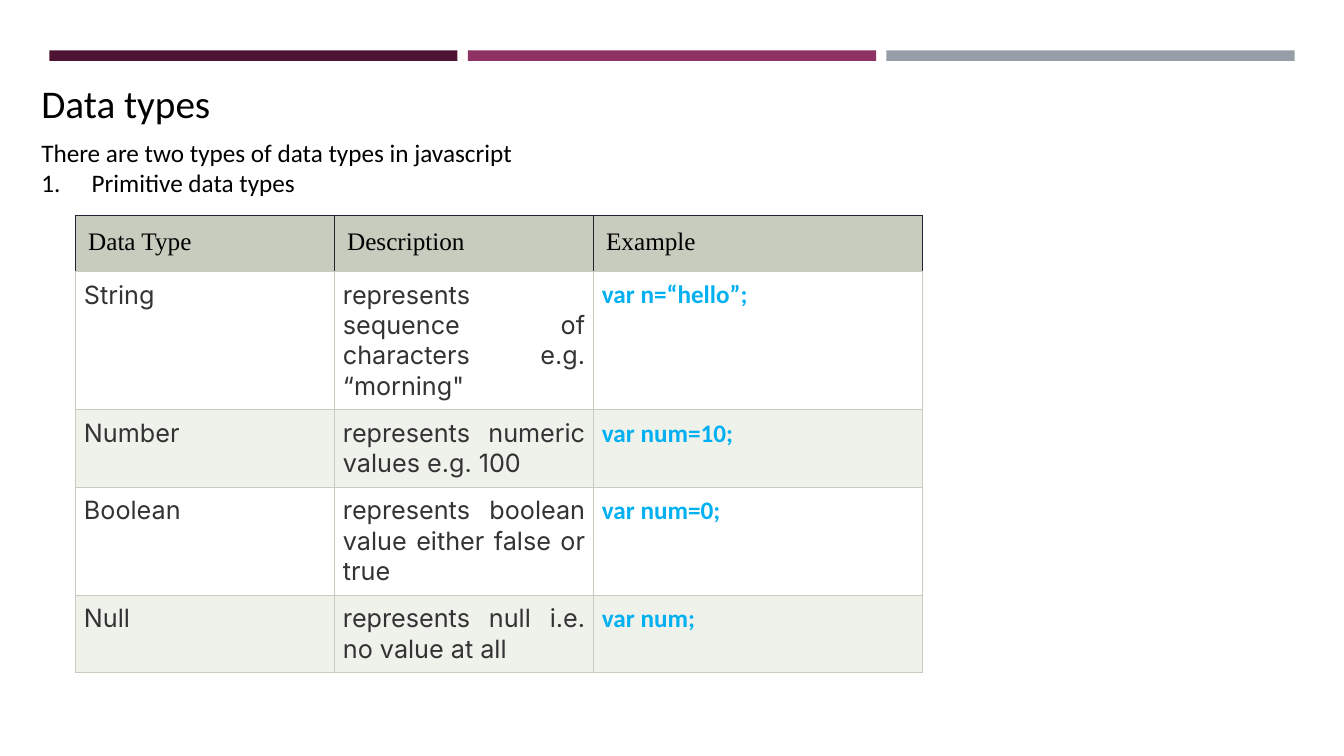
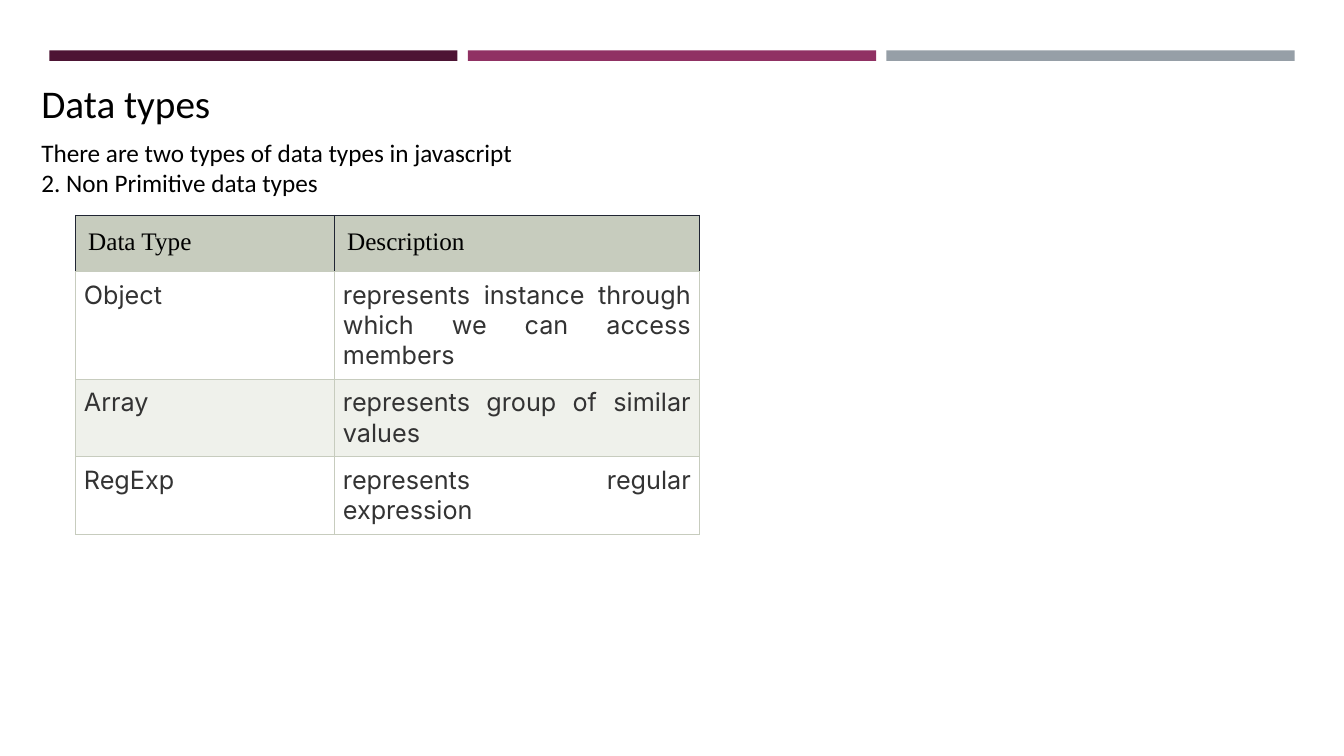
from lxml import etree
from pptx import Presentation
from pptx.dml.color import RGBColor
from pptx.enum.shapes import MSO_SHAPE as Shape
from pptx.enum.text import MSO_ANCHOR as Anchor, MSO_AUTO_SIZE as AutoSize, PP_ALIGN as Align
from pptx.oxml.ns import qn
from pptx.util import Pt

BLACK = RGBColor(0x00, 0x00, 0x00)
WHITE = RGBColor(0xFF, 0xFF, 0xFF)
PLUM = RGBColor(0x4D, 0x14, 0x34)
MAGENTA = RGBColor(0x90, 0x31, 0x63)
GREY = RGBColor(0x96, 0x9F, 0xA7)
SAGE = RGBColor(0xC7, 0xCC, 0xBE)
PALE_SAGE = RGBColor(0xEF, 0xF1, 0xEB)
NAVY = RGBColor(0x20, 0x25, 0x33)
CHARCOAL = RGBColor(0x33, 0x33, 0x33)
SKY = RGBColor(0x00, 0xB0, 0xF0)

TITLE = "Data types"
INTRO = "There are two types of data types in javascript"

# Each body row ends with the number of text lines it needs.
PAGES = [
    {
        "subtitle": "Primitive data types",
        "numbered": True,
        "header": ["Data Type", "Description", "Example"],
        "widths": [185, 185, 235],
        "rows": [
            (["String", "represents sequence of characters e.g. “morning\"", "var n=“hello”;"], 4),
            (["Number", "represents numeric values e.g. 100", "var num=10;"], 2),
            (["Boolean", "represents boolean value either false or true", "var num=0;"], 3),
            (["Null", "represents null i.e. no value at all", "var num;"], 2),
        ],
    },
    {
        "subtitle": "2. Non Primitive data types",
        "numbered": False,
        "header": ["Data Type", "Description"],
        "widths": [185, 260.5],
        "rows": [
            (["Object", "represents instance through which we can access members"], 3),
            (["Array", "represents group of similar values"], 2),
            (["RegExp", "represents regular expression"], 2),
        ],
    },
]

BAND_LEFT, BAND_TOP, BAND_WIDTH, BAND_HEIGHT, BAND_STEP = 35.2, 36, 291.6, 7.5, 299
TEXT_LEFT = 22.4
TABLE_LEFT, TABLE_TOP = 54, 153.8
HEADER_HEIGHT, LINE_HEIGHT = 40, 21.7
HEADER_INSET, BODY_INSET = 9, 6


def style_font(font, name, size, color, bold=False):
    font.name, font.size, font.bold = name, Pt(size), bold
    font.color.rgb = color


def add_bands(page):
    for i, color in enumerate([PLUM, MAGENTA, GREY]):
        band = page.shapes.add_shape(
            Shape.RECTANGLE, Pt(BAND_LEFT + i * BAND_STEP), Pt(BAND_TOP), Pt(BAND_WIDTH), Pt(BAND_HEIGHT))
        band.shadow.inherit = False
        band.fill.solid()
        band.fill.fore_color.rgb = color
        band.line.fill.background()


def set_title(page):
    title = page.shapes.title
    title.left, title.top, title.width, title.height = Pt(TEXT_LEFT), Pt(53.3), Pt(480), Pt(41)
    frame = title.text_frame
    frame.text = TITLE
    frame.auto_size = AutoSize.NONE
    frame.vertical_anchor = Anchor.TOP
    para = frame.paragraphs[0]
    para.alignment = Align.LEFT
    style_font(para.runs[0].font, "Calibri", 28, BLACK)


def add_intro(page, subtitle, numbered):
    box = page.shapes.add_textbox(Pt(TEXT_LEFT), Pt(94.3), Pt(480), Pt(51))
    frame = box.text_frame
    frame.word_wrap = True
    frame.text = INTRO
    para = frame.add_paragraph()
    para.text = subtitle
    if numbered:
        props = para._p.get_or_add_pPr()
        props.set("marL", str(Pt(36)))
        props.set("indent", str(-Pt(36)))
        etree.SubElement(props, qn("a:buAutoNum"), type="arabicPeriod")
    for para in frame.paragraphs:
        style_font(para.runs[0].font, "Calibri", 18, BLACK)


def set_borders(cell, side_colors):
    """Draw thin cell borders, colours in the order left, right, top, bottom."""
    props = cell._tc.get_or_add_tcPr()
    for i, (side, color) in enumerate(zip("LRTB", side_colors)):
        line = etree.Element(qn(f"a:ln{side}"), w=str(Pt(0.75)))
        fill = etree.SubElement(line, qn("a:solidFill"))
        etree.SubElement(fill, qn("a:srgbClr"), val=str(color))
        props.insert(i, line)


def fill_cell(cell, text, fill, inset, borders, alignment, font):
    cell.text_frame.text = text
    cell.margin_left = cell.margin_right = cell.margin_top = cell.margin_bottom = Pt(inset)
    cell.fill.solid()
    cell.fill.fore_color.rgb = fill
    set_borders(cell, borders)
    para = cell.text_frame.paragraphs[0]
    para.alignment = alignment
    style_font(para.runs[0].font, *font)


def add_type_table(page, header, widths, rows):
    heights = [HEADER_HEIGHT] + [lines * LINE_HEIGHT + 2 * BODY_INSET for _, lines in rows]
    table = page.shapes.add_table(
        len(heights), len(widths), Pt(TABLE_LEFT), Pt(TABLE_TOP), Pt(sum(widths)), Pt(sum(heights))).table
    for column, width in zip(table.columns, widths):
        column.width = Pt(width)
    for row, height in zip(table.rows, heights):
        row.height = Pt(height)
    for c, text in enumerate(header):
        fill_cell(table.cell(0, c), text, SAGE, HEADER_INSET, [NAVY, NAVY, NAVY, SAGE],
                  Align.LEFT, ("Times New Roman", 18, BLACK))
    for r, (texts, _) in enumerate(rows, start=1):
        for c, text in enumerate(texts):
            is_example = header[c] == "Example"
            font = ("Calibri", 18, SKY, True) if is_example else ("Inter", 18, CHARCOAL)
            fill_cell(table.cell(r, c), text, WHITE if r % 2 else PALE_SAGE, BODY_INSET,
                      [SAGE] * 4, Align.JUSTIFY, font)


def main():
    deck = Presentation()
    deck.slide_width, deck.slide_height = Pt(960), Pt(540)
    for content in PAGES:
        page = deck.slides.add_slide(deck.slide_layouts[5])
        add_bands(page)
        set_title(page)
        add_intro(page, content["subtitle"], content["numbered"])
        add_type_table(page, content["header"], content["widths"], content["rows"])
    deck.save("out.pptx")


if __name__ == "__main__":
    main()
